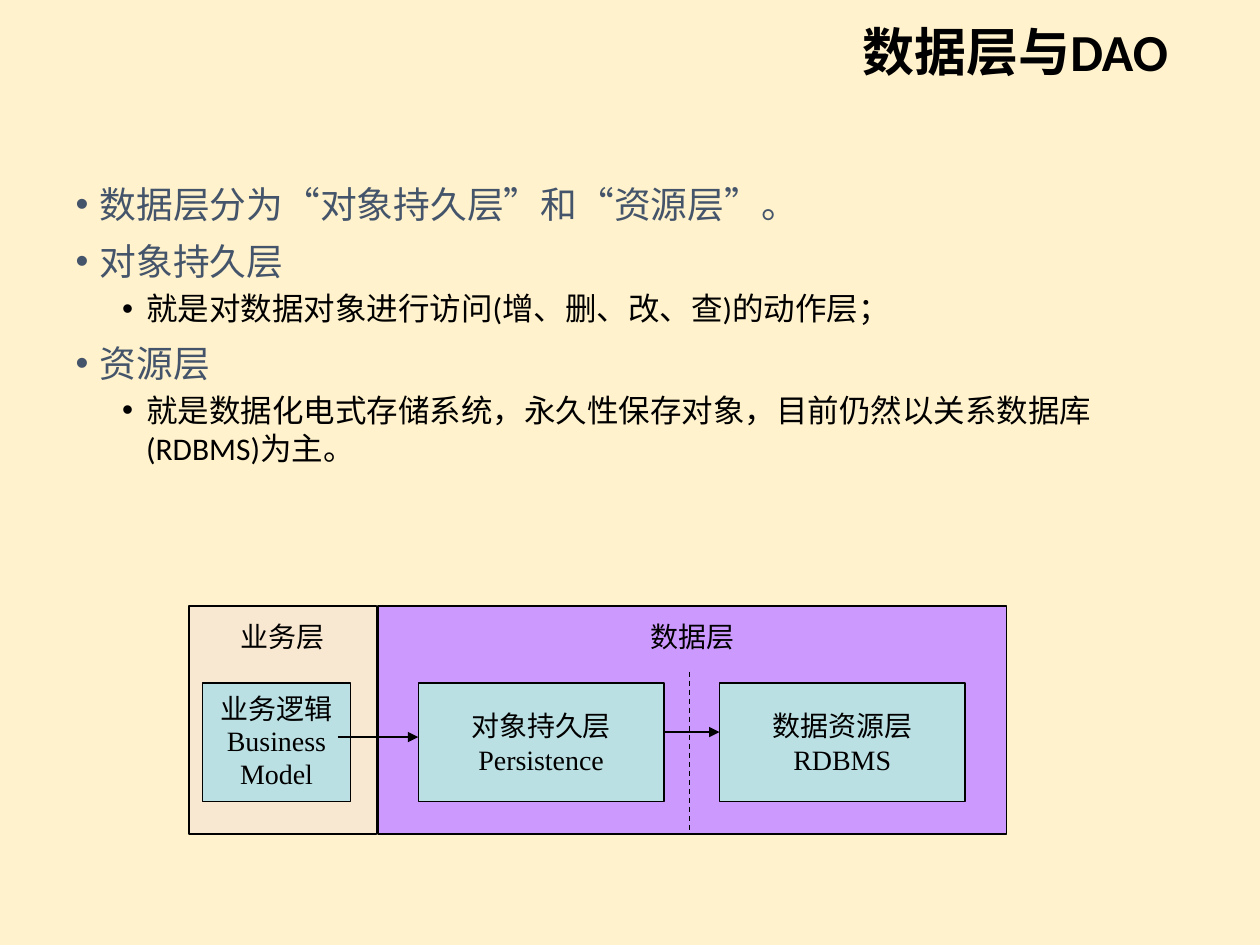
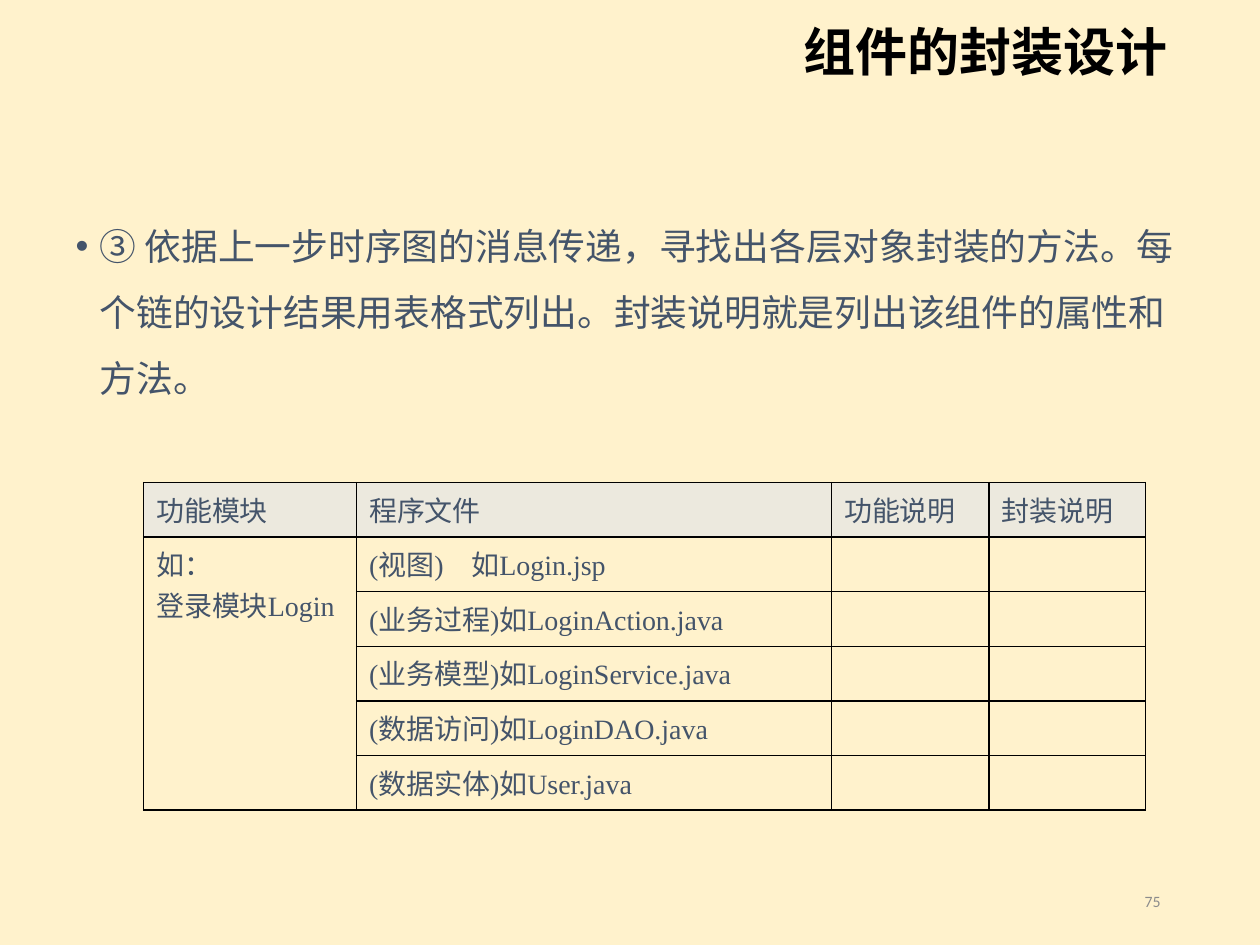
from dataclasses import dataclass

from lxml.etree import SubElement
from pptx import Presentation
from pptx.dml.color import RGBColor
from pptx.enum.dml import MSO_LINE
from pptx.enum.shapes import MSO_CONNECTOR, MSO_SHAPE
from pptx.enum.text import MSO_ANCHOR, MSO_AUTO_SIZE, PP_ALIGN
from pptx.oxml.ns import qn
from pptx.util import Inches, Pt


@dataclass(frozen=True)
class Theme:
    paper: str = "FFF2CC"
    ink: str = "000000"
    slate: str = "44546A"
    violet: str = "CC99FF"
    aqua: str = "BBE0E3"
    header: str = "E6E6E6"
    muted: str = "8C8C8C"
    sans: str = "Calibri"
    serif: str = "Times New Roman"
    chinese: str = "Noto Sans CJK SC"
    title_size: float = 29.7
    body_size: float = 21
    detail_size: float = 18
    label_size: float = 16
    number_size: float = 9


theme = Theme()
deck = Presentation()
deck.slide_width, deck.slide_height = Inches(10), Inches(7.5)
unit = deck.slide_width / 10


def place(*cells):
    return [round(cell * unit) for cell in cells]


def write(frame, text, size=theme.label_size, font=theme.serif, color=theme.ink,
          bold=False, align=PP_ALIGN.LEFT, spacing=1.0, before=0, bullet_indent=None):
    para = frame.paragraphs[0] if not frame.text else frame.add_paragraph()
    para.alignment = align
    para.line_spacing = spacing
    para.space_before = Pt(before)
    if bullet_indent:
        properties = para._p.get_or_add_pPr()
        properties.set("marL", str(Inches(bullet_indent)))
        properties.set("indent", str(Inches(-0.19)))
        SubElement(properties, qn("a:buFont"), typeface="Arial")
        SubElement(properties, qn("a:buChar"), char="•")
    span = para.add_run()
    span.text = text
    span.font.size = Pt(size)
    span.font.bold = bold
    span.font.name = font
    span.font.color.rgb = RGBColor.from_string(color)
    SubElement(span._r.get_or_add_rPr(), qn("a:ea"), typeface=theme.chinese)
    return para


background = deck.slide_master.background.fill
background.solid()
background.fore_color.rgb = RGBColor.from_string(theme.paper)

body_styles = [
    dict(size=theme.body_size, color=theme.slate, before=7.5, bullet_indent=0.19),
    dict(size=theme.detail_size, color=theme.ink, before=3.8, bullet_indent=0.56),
]
outlines = [
    ("数据层与DAO", 1.39, 1.0, theme.sans, [
        (0, "数据层分为“对象持久层”和“资源层”。"),
        (0, "对象持久层"),
        (1, "就是对数据对象进行访问(增、删、改、查)的动作层；"),
        (0, "资源层"),
        (1, "就是数据化电式存储系统，永久性保存对象，目前仍然以关系数据库(RDBMS)为主。"),
    ]),
    ("组件的封装设计", 1.55, 1.5, theme.chinese, [
        (0, "③ 依据上一步时序图的消息传递，寻找出各层对象封装的方法。"
            "每个链的设计结果用表格式列出。封装说明就是列出该组件的属性和方法。"),
    ]),
]
pages = []
for heading, body_top, spacing, font, points in outlines:
    page = deck.slides.add_slide(deck.slide_layouts[1])
    pages.append(page)
    title, body = page.placeholders
    title.left, title.top, title.width, title.height = place(0.75, 0.14, 8.62, 0.59)
    body.left, body.top, body.width, body.height = place(0.5, body_top, 9, 5.35)
    for box, anchor in ((title, MSO_ANCHOR.MIDDLE), (body, MSO_ANCHOR.TOP)):
        box.text_frame.auto_size = MSO_AUTO_SIZE.NONE
        box.text_frame.vertical_anchor = anchor
    write(title.text_frame, heading, size=theme.title_size, font=theme.sans,
          bold=True, align=PP_ALIGN.RIGHT, spacing=0.9)
    for level, point in points:
        para = write(body.text_frame, point, font=font, spacing=spacing, **body_styles[level])
        para.level = level

layer_page, component_page = pages

layer_top, layer_height = 4.81, 1.81
part_top, part_height = 5.42, 0.94
blocks = [
    (3, layer_top, 4.99, layer_height, theme.violet, 100, ["数据层"]),
    (3.32, part_top, 1.95, part_height, theme.aqua, 100, ["对象持久层", "Persistence"]),
    (5.71, part_top, 1.95, part_height, theme.aqua, 100, ["数据资源层", "RDBMS"]),
    (1.5, layer_top, 1.49, layer_height, theme.violet, 11, ["业务层"]),
    (1.61, part_top, 1.17, part_height, theme.aqua, 100, ["业务逻辑", "Business", "Model"]),
]
for left, top, width, height, color, opacity, lines in blocks:
    box = layer_page.shapes.add_shape(MSO_SHAPE.RECTANGLE, *place(left, top, width, height))
    box.shadow.inherit = False
    box.fill.solid()
    box.fill.fore_color.rgb = RGBColor.from_string(color)
    if opacity < 100:
        tint = box._element.spPr.find(qn("a:solidFill"))[0]
        SubElement(tint, qn("a:alpha"), val=str(opacity * 1000))
    box.line.color.rgb = RGBColor.from_string(theme.ink)
    box.line.width = Pt(0.75)
    frame = box.text_frame
    frame.word_wrap = True
    frame.margin_top = frame.margin_bottom = Inches(0.11 if top == layer_top else 0)
    frame.vertical_anchor = MSO_ANCHOR.TOP if top == layer_top else MSO_ANCHOR.MIDDLE
    for line in lines:
        write(frame, line, align=PP_ALIGN.CENTER, spacing=0.96 if len(lines) == 3 else 1.0)

links = [
    (5.47, 5.33, 5.47, 6.62, False),
    (2.68, 5.85, 3.32, 5.85, True),
    (5.28, 5.81, 5.71, 5.81, True),
]
for *ends, is_arrow in links:
    link = layer_page.shapes.add_connector(MSO_CONNECTOR.STRAIGHT, *place(*ends))
    link.line.color.rgb = RGBColor.from_string(theme.ink)
    link.line.width = Pt(0.75)
    if is_arrow:
        SubElement(link.line._get_or_add_ln(), qn("a:tailEnd"), type="triangle")
    else:
        link.line.dash_style = MSO_LINE.DASH
    SubElement(link._element.spPr, qn("a:effectLst"))

rows = [
    ["功能模块", "程序文件", "功能说明", "封装说明"],
    ["如：\n登录模块Login", "(视图)　如Login.jsp", "", ""],
    ["", "(业务过程)如LoginAction.java", "", ""],
    ["", "(业务模型)如LoginService.java", "", ""],
    ["", "(数据访问)如LoginDAO.java", "", ""],
    ["", "(数据实体)如User.java", "", ""],
]
table = component_page.shapes.add_table(
    len(rows), len(rows[0]), *place(1.14, 3.83, 7.95, 2.6)).table
table.first_row = table.horz_banding = False
for column, width in zip(table.columns, place(1.69, 3.77, 1.25, 1.24)):
    column.width = width
table.cell(1, 0).merge(table.cell(5, 0))
for row_index, row in enumerate(rows):
    for column_index, text in enumerate(row):
        cell = table.cell(row_index, column_index)
        properties = cell._tc.get_or_add_tcPr()
        for side in ("lnL", "lnR", "lnT", "lnB"):
            border = SubElement(properties, qn(f"a:{side}"), w=str(Pt(1)))
            SubElement(SubElement(border, qn("a:solidFill")), qn("a:srgbClr"), val=theme.ink)
        if row_index == 0:
            cell.fill.solid()
            cell.fill.fore_color.rgb = RGBColor.from_string(theme.header)
            tint = properties.find(qn("a:solidFill"))[0]
            SubElement(tint, qn("a:alpha"), val="72000")
        else:
            cell.fill.background()
        if text:
            for line in text.split("\n"):
                write(cell.text_frame, line, color=theme.slate)

number = component_page.shapes.add_textbox(*place(7.06, 6.95, 2.25, 0.4))
number.text_frame.word_wrap = True
number.text_frame.vertical_anchor = MSO_ANCHOR.MIDDLE
write(number.text_frame, "75", size=theme.number_size, font=theme.sans,
      color=theme.muted, align=PP_ALIGN.RIGHT)

deck.save("out.pptx")
